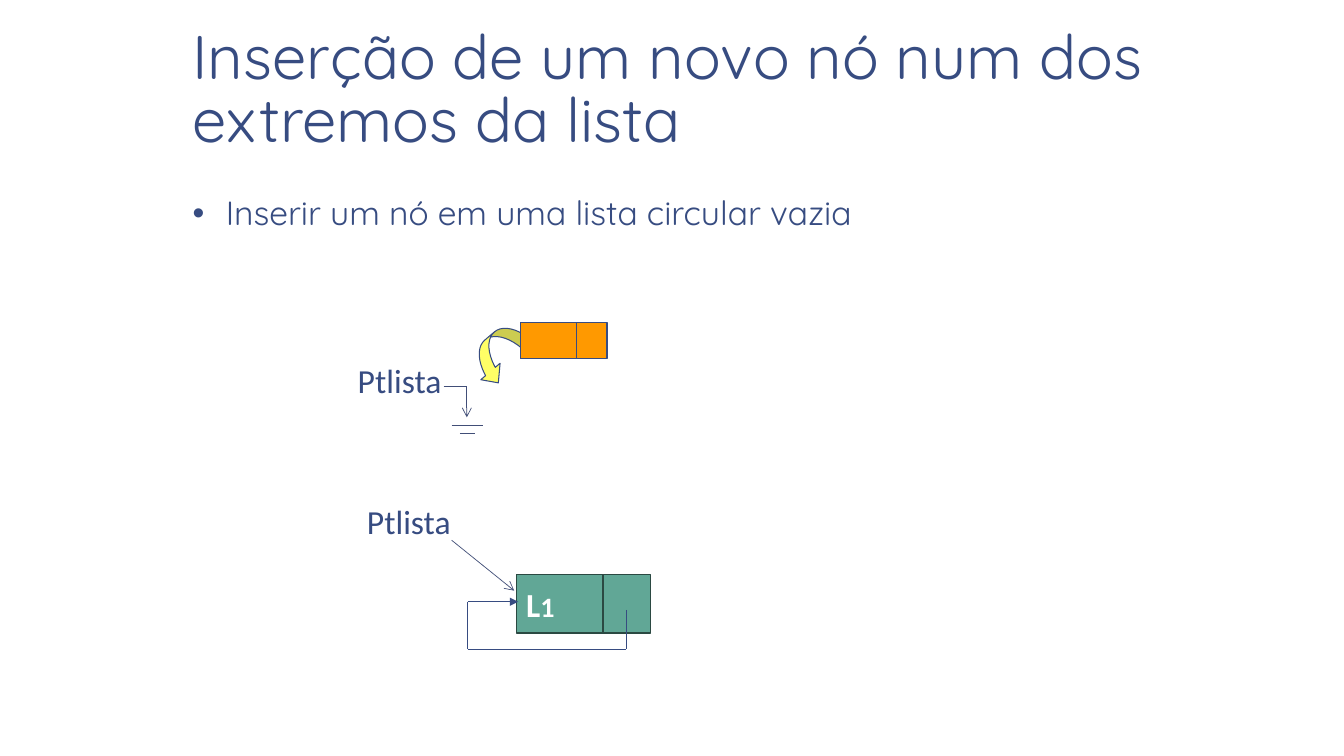
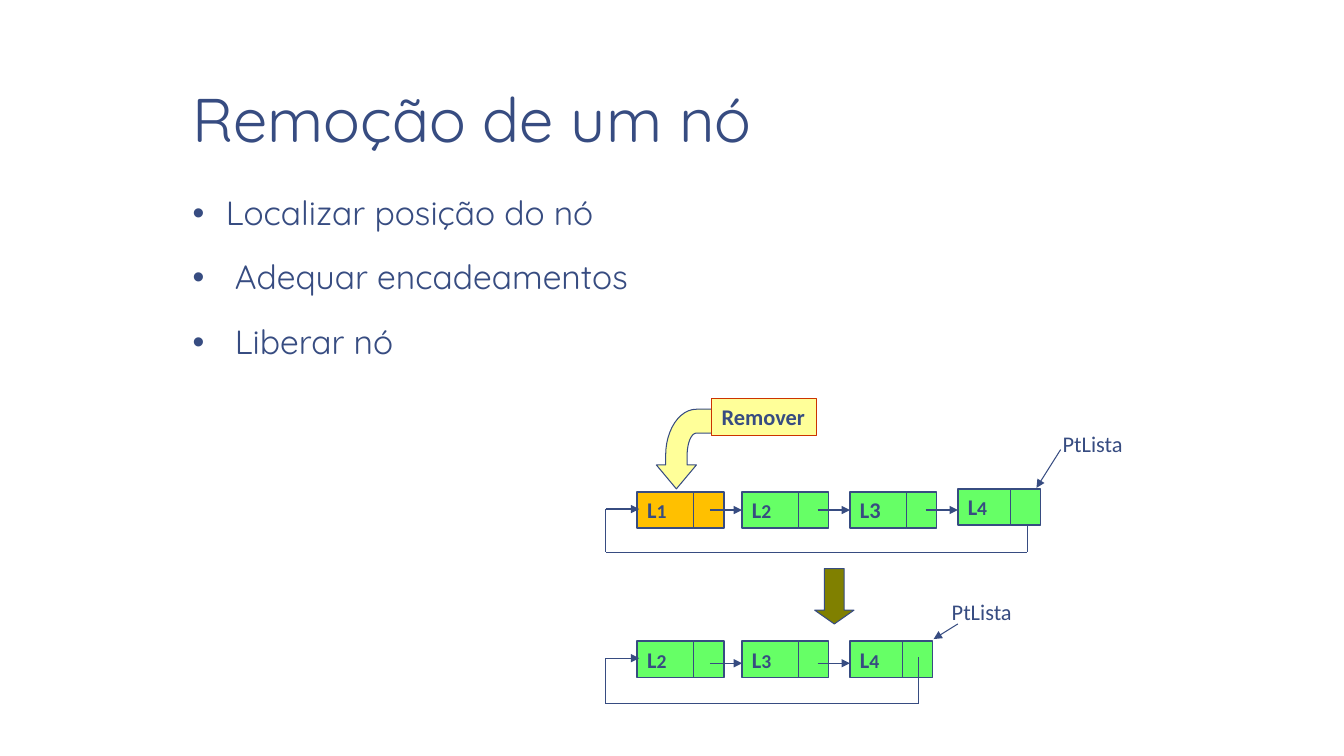
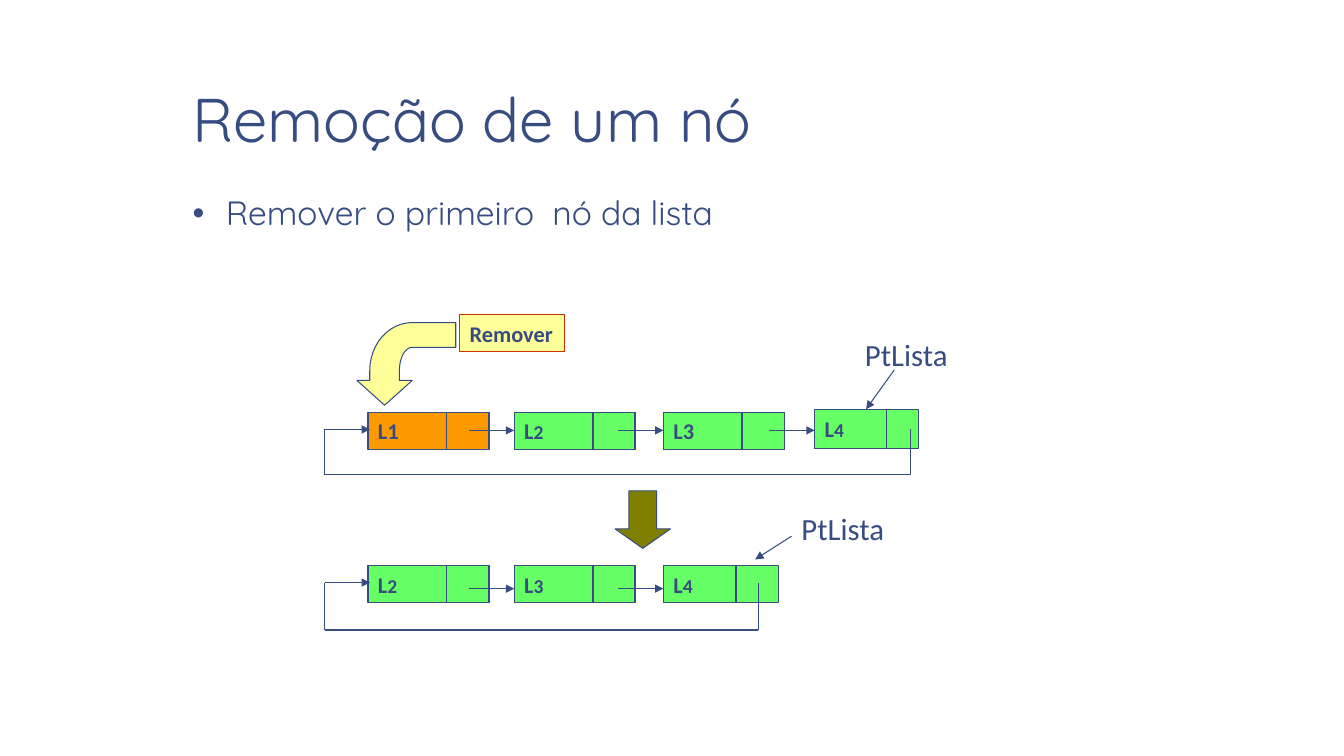
from dataclasses import dataclass
from math import cos, pi, sin

from lxml.etree import SubElement
from pptx import Presentation
from pptx.dml.color import RGBColor
from pptx.enum.shapes import MSO_CONNECTOR, MSO_SHAPE
from pptx.enum.text import MSO_ANCHOR
from pptx.oxml.ns import qn
from pptx.util import Inches, Pt

HUES = {
    "ink": "374C81", "wire": "414E77", "white": "FFFFFF", "orange": "FF9900",
    "amber": "FFC000", "green": "66FF66", "teal": "61A796", "pine": "2B4942",
    "lemon": "FFFF66", "cream": "FFFF99", "red": "CC3300", "olive": "808000",
}
HEAD, TEXT = "Quicksand", "Calibri"


@dataclass
class Chain:
    """One circular list: row top, node tags, last node and link heights."""
    top: float
    tags: tuple
    last: tuple
    lift: float
    drop: float
    low: float
    exit: tuple
    label: tuple
    ptr: tuple


@dataclass
class Plan:
    """Sizes of one removal diagram, measured from its box."""
    cols: tuple
    cell: tuple
    link: float
    size: int
    first: str
    bend: tuple
    note: float
    down: tuple
    rows: tuple


def hue(name):
    """Return a named colour."""
    return RGBColor.from_string(HUES[name])


def style(par, size, font=TEXT, color="ink", bold=False):
    """Set the font of a paragraph."""
    par.font.size = Pt(size)
    par.font.name = font
    par.font.bold = bold
    par.font.color.rgb = hue(color)


def form(slide, kind, box, fill, line="ink", width=1.0):
    """Add a filled preset shape."""
    item = slide.shapes.add_shape(kind, *map(Inches, box))
    paint(item, fill, line, width)
    return item


def paint(item, fill, line, width):
    """Give a shape its fill and line, without shadow."""
    item.shadow.inherit = False
    item.fill.solid()
    item.fill.fore_color.rgb = hue(fill)
    item.line.color.rgb = hue(line)
    item.line.width = Pt(width)


def wire(slide, start, end, width=0.75, tip=None, color="ink"):
    """Draw a straight line, with an arrowhead if a tip is named."""
    item = slide.shapes.add_connector(
        MSO_CONNECTOR.STRAIGHT, *map(Inches, (*start, *end)))
    item.line.color.rgb = hue(color)
    item.line.width = Pt(width)
    if tip:
        SubElement(item.line._get_or_add_ln(), qn("a:tailEnd"), type=tip)
    SubElement(item._element.spPr, qn("a:effectLst"))


def label(slide, text, x, y, w, h, size):
    """Place a one-line label."""
    frame = slide.shapes.add_textbox(*map(Inches, (x, y, w, h))).text_frame
    frame.word_wrap = False
    frame.vertical_anchor = MSO_ANCHOR.MIDDLE
    frame.text = text
    style(frame.paragraphs[0], size)


def tag(item, text, size, small, color="ink"):
    """Write bold text in a shape; what follows a bar is smaller."""
    frame = item.text_frame
    frame.word_wrap = False
    frame.vertical_anchor = MSO_ANCHOR.MIDDLE
    par = frame.paragraphs[0]
    par.alignment = 1
    parts = text.split("|")
    for part in parts:
        par.add_run().text = part
    style(par, size, color=color, bold=True)
    if len(parts) > 1:
        par.runs[1].font.size = Pt(small)


def node(slide, x, y, cell, fill, line="ink"):
    """Draw the data and link cells of a node; return the data cell."""
    data, link, high = cell
    body = form(slide, MSO_SHAPE.RECTANGLE, (x, y, data, high), fill, line)
    form(slide, MSO_SHAPE.RECTANGLE, (x + data, y, link, high), fill, line)
    return body


def loop(slide, x, y, tip, low, right, top):
    """Draw the link that leads from the last node back to the first."""
    wire(slide, (x, y), (x, low))
    wire(slide, (x, y), (tip, y), 1, "triangle")
    wire(slide, (x, low), (right, low))
    wire(slide, (right, top), (right, low))


def bend(slide, x, y, w, h):
    """Draw a block arrow that turns from the right to the bottom."""
    def arc(rx, ry, turns):
        """Return points of a quarter ellipse."""
        return [(0.56 - rx * cos(t), 0.58 - ry * sin(t))
                for t in (pi / 24 * n for n in turns)]

    pts = [(0.28, 1), (0, 0.7), (0.13, 0.7), *arc(0.43, 0.58, range(13)),
           (1, 0), (1, 0.3), *arc(0.13, 0.28, range(12, -1, -1)),
           (0.43, 0.7), (0.56, 0.7)]
    spots = [(Inches(x + w * a), Inches(y + h * b)) for a, b in pts]
    pen = slide.shapes.build_freeform(*spots[0])
    pen.add_line_segments(spots[1:], close=True)
    paint(pen.convert_to_shape(), "cream", "ink", 0.75)


def text_box(slide, box, anchor):
    """Add a wrapped text frame with the margins of the deck."""
    frame = slide.shapes.add_textbox(*map(Inches, box)).text_frame
    frame.word_wrap = True
    frame.vertical_anchor = anchor
    frame.margin_left = frame.margin_right = Inches(0.13)
    frame.margin_top = frame.margin_bottom = Inches(0.07)
    return frame


def page(deck, title, items):
    """Add a slide with its title and (text, indent) bullets."""
    slide = deck.slides.add_slide(deck.slide_layouts[6])
    frame = text_box(slide, (1.78, 0.08, 9.84, 1.53), MSO_ANCHOR.BOTTOM)
    frame.text = title
    frame.paragraphs[0].line_spacing = 0.85
    style(frame.paragraphs[0], 44, HEAD)
    frame = text_box(slide, (1.78, 1.86, 9.84, 4.89), MSO_ANCHOR.TOP)
    for pos, (text, dent) in enumerate(items):
        par = frame.add_paragraph() if pos else frame.paragraphs[0]
        par.text = text
        props = par._p.get_or_add_pPr()
        props.set("marL", str(Inches(dent)))
        props.set("indent", str(-Inches(dent)))
        SubElement(props, qn("a:buFont"), typeface="Arial")
        SubElement(props, qn("a:buChar"), char="•")
        par.line_spacing = 0.95
        if pos:
            par.space_before = Pt(18.7)
        style(par, 24, HEAD)
    return slide


def empty(slide, x, y):
    """Draw the empty list and the node about to enter."""
    curl = form(slide, MSO_SHAPE.CURVED_RIGHT_ARROW,
                (x + 1.31, y, 0.41, 0.66), "lemon", width=0.75)
    curl.rotation = 49.5
    for pos, val in enumerate((0.307, 0.613, 0.333)):
        curl.adjustments[pos] = val
    node(slide, x + 1.71, y + 0.02, (0.56, 0.3, 0.36), "orange")
    for a, b, c, d, tip in (
            (0.95, 0.65, 1.18, 0.65, None), (1.18, 0.65, 1.18, 0.96, "arrow"),
            (1.03, 1.04, 1.34, 1.04, None), (1.11, 1.12, 1.26, 1.12, None)):
        wire(slide, (x + a, y + b), (x + c, y + d), 0.5, tip, "wire")
    label(slide, "Ptlista", x, y + 0.34, 1.1, 0.5, 24)


def single(slide, x, y):
    """Draw the circular list of one node."""
    body = node(slide, x + 1.58, y + 0.78, (0.86, 0.47, 0.58), "teal", "pine")
    tag(body, "L|1", 24, 20, "white")
    loop(slide, x + 1.1, y + 1.05, x + 1.6, y + 1.52, x + 2.67, y + 1.13)
    wire(slide, (x + 0.94, y + 0.44), (x + 1.56, y + 0.94), 0.5, "arrow", "wire")
    label(slide, "Ptlista", x, y, 1.1, 0.5, 24)


def chain(slide, x, y, plan, row, first):
    """Draw one circular list of a removal diagram."""
    top = y + row.top
    final = len(row.tags) - 1
    for pos, (col, text) in enumerate(zip(plan.cols, row.tags)):
        end = pos == final
        body = node(slide, x + col, top - (row.lift if end else 0),
                    row.last if end else plan.cell, "green" if pos else first)
        tag(body, text, 16, 14)
    for col in plan.cols[1:final + 1]:
        wire(slide, (x + col - plan.link, top + row.drop),
             (x + col, top + row.drop), 1, "triangle")
    right, start = row.exit
    loop(slide, x, top + 0.17, x + plan.cols[0] + 0.02, top + row.low,
         x + right, y + start)
    a, b, c, d = row.ptr
    wire(slide, (x + a, y + b), (x + c, y + d), tip="triangle")
    wide, high = (0.81, 0.37) if plan.size == 16 else (1.03, 0.47)
    left, up = row.label
    label(slide, "PtLista", x + left, y + up, wide, high, plan.size)


def removal(slide, x, y, plan):
    """Draw a list before and after its first node is removed."""
    for row, first in zip(plan.rows, (plan.first, "green")):
        chain(slide, x, y, plan, row, first)
    left, top, wide, high = plan.down
    down = form(slide, MSO_SHAPE.DOWN_ARROW, (x + left, y + top, wide, high),
                "olive", width=0.75)
    down.adjustments[1] = 0.351
    left, top, wide, high = plan.bend
    bend(slide, x + left, y + top, wide, high)
    note = form(slide, MSO_SHAPE.RECTANGLE, (x + plan.note, y, 1.04, 0.37),
                "cream", "red", 0.75)
    tag(note, "Remover", 16, 16)


SMALL = Plan(
    cols=(0.31, 1.35, 2.42, 3.49), cell=(0.56, 0.3, 0.36), link=0.32, size=16,
    first="amber", bend=(0.5, 0.11, 0.71, 0.79), note=1.05,
    down=(2.07, 1.69, 0.39, 0.55),
    rows=(
        Chain(top=0.93, tags=("L|1", "L|2", "L3", "L|4"),
              last=(0.52, 0.3, 0.36), lift=0.03, drop=0.18, low=0.6,
              exit=(4.18, 1.26), label=(4.43, 0.27),
              ptr=(4.51, 0.51, 4.27, 0.89)),
        Chain(top=2.41, tags=("L|2", "L|3", "L|4"),
              last=(0.52, 0.3, 0.36), lift=0, drop=0.22, low=0.62,
              exit=(3.1, 2.57), label=(3.33, 1.93),
              ptr=(3.49, 2.24, 3.25, 2.39))))

LARGE = Plan(
    cols=(0.43, 1.88, 3.36, 4.86), cell=(0.78, 0.42, 0.37), link=0.45, size=22,
    first="orange", bend=(0.32, 0.08, 0.98, 0.82), note=1.34,
    down=(2.88, 1.75, 0.55, 0.57),
    rows=(
        Chain(top=0.97, tags=("L1", "L|2", "L3", "L|4"),
              last=(0.71, 0.32, 0.39), lift=0.03, drop=0.18, low=0.62,
              exit=(5.81, 1.14), label=(5.26, 0.16),
              ptr=(5.65, 0.55, 5.37, 0.94)),
        Chain(top=2.49, tags=("L|2", "L|3", "L|4"),
              last=(0.72, 0.42, 0.37), lift=0, drop=0.23, low=0.64,
              exit=(4.3, 2.66), label=(4.63, 1.89),
              ptr=(4.63, 2.2, 4.27, 2.43))))


def main():
    """Build the three slides."""
    deck = Presentation()
    deck.slide_width, deck.slide_height = Inches(13.33), Inches(7.5)
    slide = page(deck, "Inserção de um novo nó num dos extremos da lista",
                 [("Inserir um nó em uma lista circular vazia", 0.33)])
    empty(slide, 3.45, 3.18)
    single(slide, 3.54, 4.92)
    slide = page(deck, "Remoção de um nó",
                 [("Localizar posição do nó", 0.33),
                  ("Adequar encadeamentos", 0.42), ("Liberar nó", 0.42)])
    removal(slide, 6.01, 3.95, SMALL)
    slide = page(deck, "Remoção de um nó",
                 [("Remover o primeiro  nó da lista", 0.33)])
    removal(slide, 3.22, 3.12, LARGE)
    deck.save("out.pptx")


if __name__ == "__main__":
    main()
